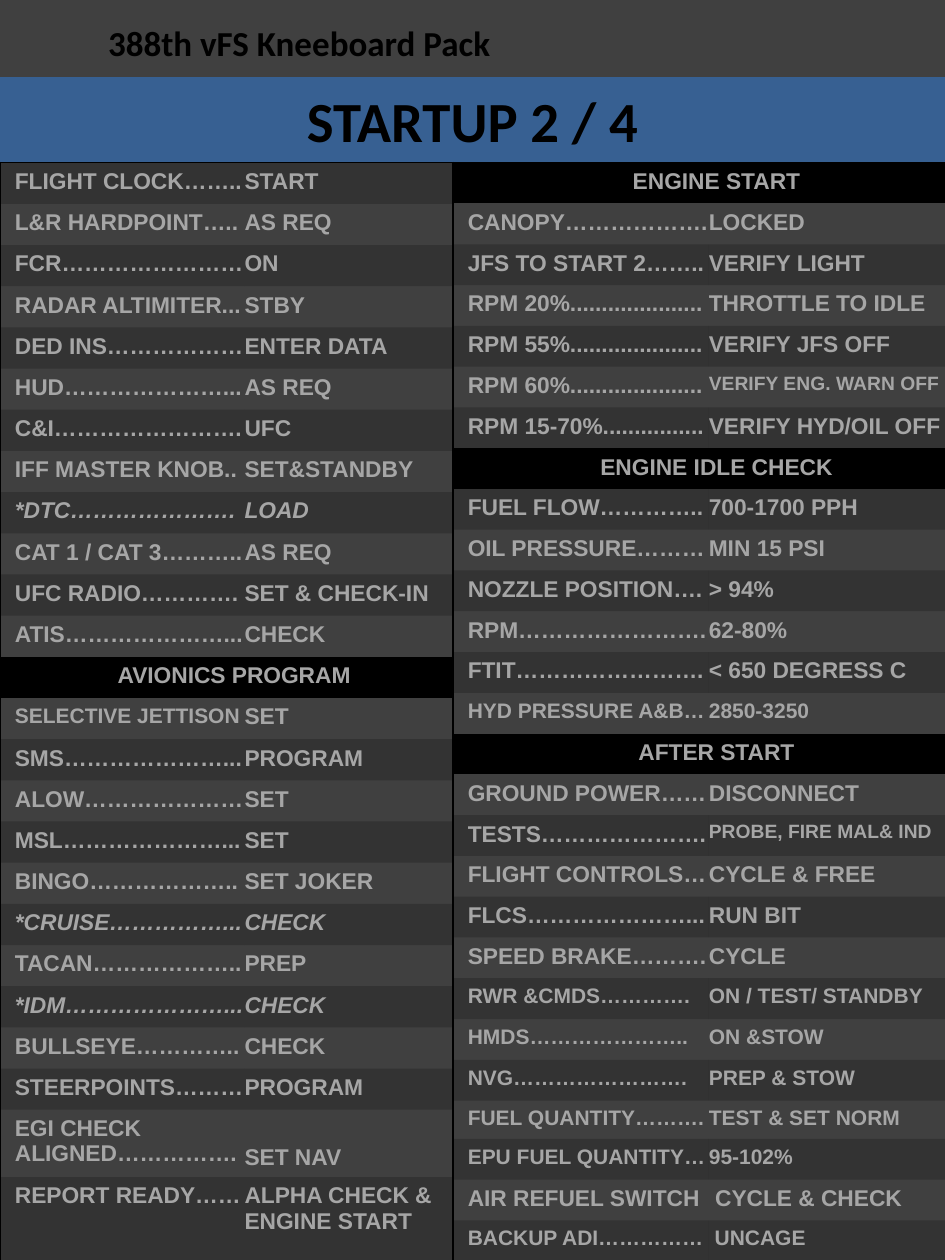
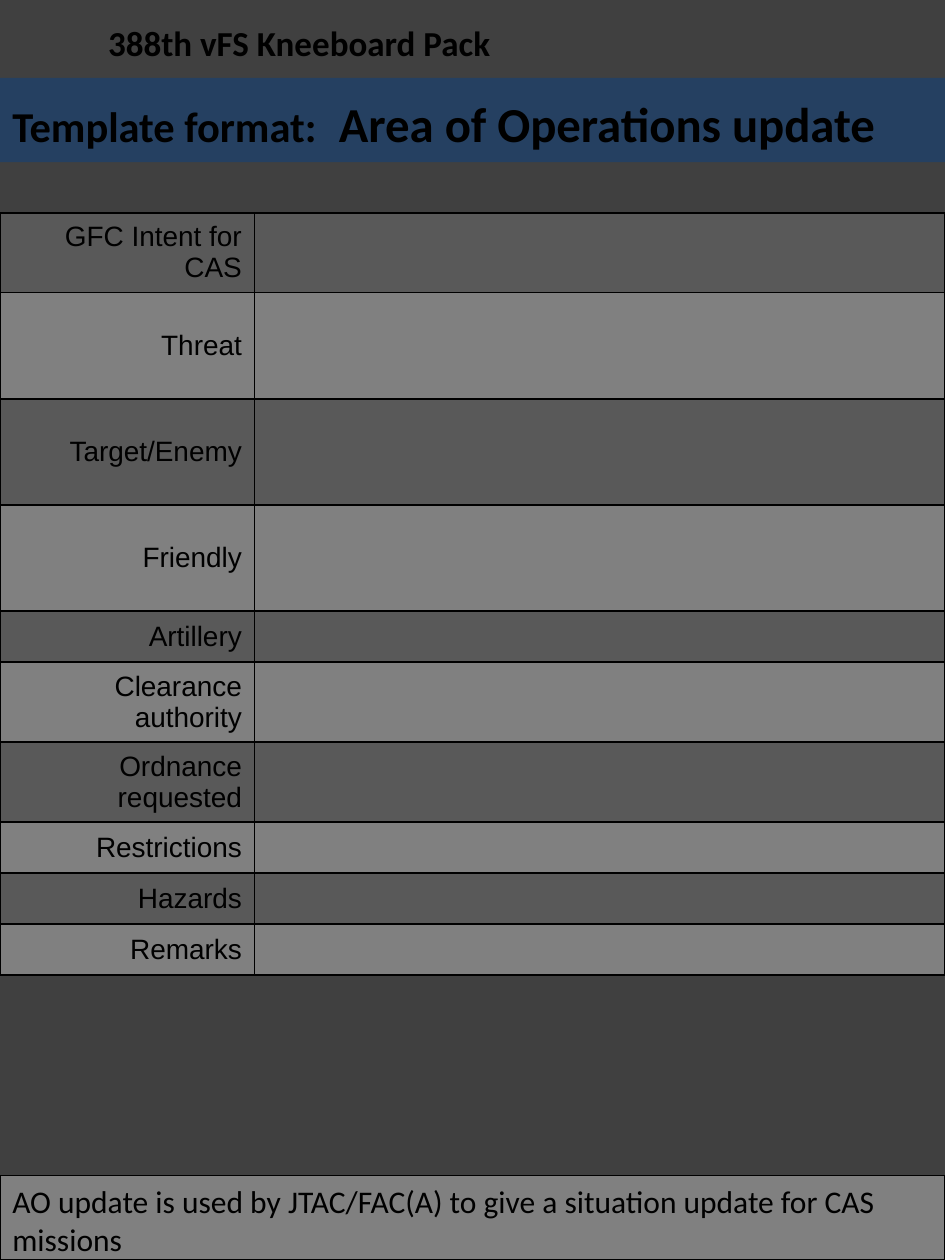
from typing import NamedTuple, Optional

from lxml import etree
from pptx import Presentation
from pptx.dml.color import RGBColor
from pptx.enum.shapes import MSO_SHAPE
from pptx.enum.text import MSO_ANCHOR, PP_ALIGN
from pptx.oxml.ns import qn
from pptx.util import Cm, Pt

RECTANGLE = MSO_SHAPE.RECTANGLE
TOP, MIDDLE, BOTTOM = MSO_ANCHOR.TOP, MSO_ANCHOR.MIDDLE, MSO_ANCHOR.BOTTOM
LEFT, CENTER, RIGHT = PP_ALIGN.LEFT, PP_ALIGN.CENTER, PP_ALIGN.RIGHT

BLACK = "000000"
BACKGROUND = "404040"
STARTUP_BLUE = "376092"
TEMPLATE_BLUE = "254061"
CHECKLIST_TEXT = "A6A6A6"
DARK_GRAY = "595959"
MID_GRAY = "808080"

HEADING_FONT = "Calibri"
TABLE_FONT = "Arial"
PLAIN_TABLE_STYLE = "{2D5ABB26-0587-4C30-8999-92F81FD0307C}"
SLIDE_WIDTH, SLIDE_HEIGHT = 19.05, 25.4
BAND_TOP, BAND_HEIGHT = 1.57, 1.7
TABLE_TOP = 3.28
INSET = 0.3


class Run(NamedTuple):
    text: str
    size: float
    font: str = HEADING_FONT
    color: str = BLACK
    bold: bool = False
    italic: bool = False


class Box(NamedTuple):
    left: float
    top: float
    width: float
    height: float


class Step(NamedTuple):
    label: str
    value: str = ""
    size: float = 13
    value_size: Optional[float] = None
    italic: bool = False
    height: Optional[float] = None
    value_anchor: MSO_ANCHOR = TOP


class Checklist(NamedTuple):
    box: Box
    columns: tuple[float, float]
    steps: list[Step]


class Entry(NamedTuple):
    label: str
    height: float


SYSTEMS = Checklist(Box(0, TABLE_TOP, 9.13, 22.38), (4.93, 4.2), [
    Step("FLIGHT CLOCK……..", "START"),
    Step("L&R HARDPOINT…..", "AS REQ"),
    Step("FCR……………………", "ON"),
    Step("RADAR ALTIMITER...", "STBY"),
    Step("DED INS………………", "ENTER DATA"),
    Step("HUD…………………...", "AS REQ"),
    Step("C&I…………………….", "UFC"),
    Step("IFF MASTER KNOB..", "SET&STANDBY"),
    Step("*DTC………………….", "LOAD", italic=True),
    Step("CAT 1 / CAT 3………..", "AS REQ"),
    Step("UFC RADIO………….", "SET & CHECK-IN"),
    Step("ATIS…………………...", "CHECK"),
    Step("AVIONICS PROGRAM"),
    Step("SELECTIVE JETTISON", "SET", 12, 13),
    Step("SMS…………………...", "PROGRAM"),
    Step("ALOW…………………", "SET"),
    Step("MSL…………………...", "SET"),
    Step("BINGO………………..", "SET JOKER"),
    Step("*CRUISE……………...", "CHECK", italic=True),
    Step("TACAN………………..", "PREP"),
    Step("*IDM…………………...", "CHECK", italic=True),
    Step("BULLSEYE…………..", "CHECK"),
    Step("STEERPOINTS………", "PROGRAM"),
    Step("EGI CHECK ALIGNED…………….", "SET NAV", height=1.29, value_anchor=BOTTOM),
    Step("REPORT READY……", "ALPHA CHECK & ENGINE START", height=1.98),
])

ENGINE = Checklist(Box(9.13, TABLE_TOP, 10.32, 22.15), (5.16, 5.16), [
    Step("ENGINE START"),
    Step("CANOPY……………….", "LOCKED"),
    Step("JFS TO START 2……..", "VERIFY LIGHT"),
    Step("RPM 20%.....................", "THROTTLE TO IDLE"),
    Step("RPM 55%.....................", "VERIFY JFS OFF"),
    Step("RPM 60%.....................", "VERIFY ENG. WARN OFF", 13, 11),
    Step("RPM 15-70%................", "VERIFY HYD/OIL OFF"),
    Step("ENGINE IDLE CHECK"),
    Step("FUEL FLOW…………..", "700-1700 PPH"),
    Step("OIL PRESSURE………", "MIN 15 PSI"),
    Step("NOZZLE POSITION….", "> 94%"),
    Step("RPM…………………….", "62-80%"),
    Step("FTIT…………………….", "< 650 DEGRESS C"),
    Step("HYD PRESSURE A&B…", "2850-3250", 12),
    Step("AFTER START"),
    Step("GROUND POWER……", "DISCONNECT"),
    Step("TESTS………………….", "PROBE, FIRE MAL& IND", 13, 11),
    Step("FLIGHT CONTROLS…", "CYCLE & FREE"),
    Step("FLCS…………………...", "RUN BIT"),
    Step("SPEED BRAKE……….", "CYCLE"),
    Step("RWR &CMDS………….", "ON / TEST/ STANDBY", 12),
    Step("HMDS…………………..", "ON &STOW", 12),
    Step("NVG…………………….", "PREP & STOW", 12),
    Step("FUEL QUANTITY……….", "TEST & SET NORM", 12, height=0.77),
    Step("EPU FUEL QUANTITY…", "95-102%", 12),
    Step("AIR REFUEL SWITCH", " CYCLE & CHECK"),
    Step("BACKUP ADI……………", " UNCAGE", 12),
])

SINGLE, DOUBLE, TALL = 1.03, 1.51, 2.14
UPDATE_ENTRIES = [
    Entry("GFC Intent for CAS", DOUBLE),
    Entry("Threat", TALL),
    Entry("Target/Enemy", TALL),
    Entry("Friendly", TALL),
    Entry("Artillery", SINGLE),
    Entry("Clearance authority", DOUBLE),
    Entry("Ordnance requested", DOUBLE),
    Entry("Restrictions", SINGLE),
    Entry("Hazards", SINGLE),
    Entry("Remarks", SINGLE),
]


def set_color(color_format, color: str) -> None:
    color_format.rgb = RGBColor.from_string(color)


def set_fill(fill, color: str, opacity: Optional[int] = None) -> None:
    fill.solid()
    set_color(fill.fore_color, color)
    if opacity is not None:
        element = fill._xPr.find(qn("a:solidFill"))[0]
        etree.SubElement(element, qn("a:alpha"), val=str(opacity * 1000))


def write(text_frame, runs: list[Run], alignment: PP_ALIGN = LEFT) -> None:
    paragraph = text_frame.paragraphs[0]
    paragraph.alignment = alignment
    for item in runs:
        run = paragraph.add_run()
        run.text = item.text
        run.font.name = item.font
        run.font.size = Pt(item.size)
        run.font.bold = item.bold
        run.font.italic = item.italic
        set_color(run.font.color, item.color)


def add_text_block(slide, box: Box, runs: list[Run], alignment: PP_ALIGN = LEFT,
                   anchor: MSO_ANCHOR = MIDDLE, fill: Optional[str] = None,
                   line: Optional[str] = None) -> None:
    lengths = [Cm(length) for length in box]
    if fill is None:
        shape = slide.shapes.add_textbox(*lengths)
    else:
        shape = slide.shapes.add_shape(RECTANGLE, *lengths)
        shape.shadow.inherit = False
        set_fill(shape.fill, fill)
        if line is None:
            shape.line.fill.background()
        else:
            set_fill(shape.line.fill, line)
            shape.line.width = Pt(0.75)
    shape.text_frame.word_wrap = True
    shape.text_frame.vertical_anchor = anchor
    write(shape.text_frame, runs, alignment)


def add_page(presentation, title: list[Run], band_color: str, alignment: PP_ALIGN = LEFT,
             line: Optional[str] = None):
    slide = presentation.slides.add_slide(presentation.slide_layouts[6])
    add_text_block(slide, Box(1.93, 0, 11.2, 1.7),
                   [Run("388th vFS Kneeboard Pack", 20, bold=True)])
    add_text_block(slide, Box(0, BAND_TOP, SLIDE_WIDTH, BAND_HEIGHT), title, alignment,
                   fill=band_color, line=line)
    return slide


def add_plain_table(slide, box: Box, columns: tuple[float, ...], heights: list[float]):
    frame = slide.shapes.add_table(len(heights), len(columns), *[Cm(length) for length in box])
    table = frame.table
    table.first_row = False
    table.horz_banding = False
    table._tbl.tblPr.find(qn("a:tableStyleId")).text = PLAIN_TABLE_STYLE
    for column, width in zip(table.columns, columns):
        column.width = Cm(width)
    for row, height in zip(table.rows, heights):
        row.height = Cm(height)
    return table


def add_borders(cell, sides: str) -> None:
    properties = cell._tc.get_or_add_tcPr()
    for index, side in enumerate(sides):
        border = etree.Element(qn(f"a:ln{side}"), w=str(Pt(1)))
        fill = etree.SubElement(border, qn("a:solidFill"))
        etree.SubElement(fill, qn("a:srgbClr"), val=BLACK)
        properties.insert(index, border)


def add_checklist(slide, checklist: Checklist) -> None:
    box, columns, steps = checklist
    special_heights = [step.height for step in steps if step.height]
    regular_height = (box.height - sum(special_heights)) / (len(steps) - len(special_heights))
    table = add_plain_table(slide, box, columns, [step.height or regular_height for step in steps])
    for index, step in enumerate(steps):
        label_cell, value_cell = table.cell(index, 0), table.cell(index, 1)
        is_heading = not step.value
        if is_heading:
            label_cell.merge(value_cell)
        texts = [(label_cell, step.label, step.size, TOP),
                 (value_cell, step.value, step.value_size or step.size, step.value_anchor)]
        for cell, text, size, anchor in texts:
            cell.margin_left = Cm(INSET if cell is label_cell else 0)
            cell.margin_right = Cm(0 if cell is label_cell else INSET)
            cell.vertical_anchor = anchor
            if text:
                write(cell.text_frame,
                      [Run(text, size, TABLE_FONT, CHECKLIST_TEXT, True, step.italic)],
                      CENTER if is_heading else LEFT)
            if is_heading:
                set_fill(cell.fill, BLACK)
            elif index % 2 == 0:
                set_fill(cell.fill, BLACK, 20)
            else:
                cell.fill.background()
        ends = ("T" if index == 0 else "") + ("B" if index == len(steps) - 1 else "")
        add_borders(label_cell, ("LR" if is_heading else "L") + ends)
        add_borders(value_cell, "R" + ends)


def add_update_form(slide, entries: list[Entry]) -> None:
    heights = [entry.height for entry in entries]
    table = add_plain_table(slide, Box(0, 4.29, SLIDE_WIDTH, sum(heights)), (5.13, 13.92), heights)
    for index, entry in enumerate(entries):
        for column in range(2):
            cell = table.cell(index, column)
            cell.vertical_anchor = MIDDLE
            set_fill(cell.fill, MID_GRAY if index % 2 else DARK_GRAY)
            add_borders(cell, "LRTB")
        write(table.cell(index, 0).text_frame, [Run(entry.label, 16, TABLE_FONT)], RIGHT)


def main() -> None:
    presentation = Presentation()
    presentation.slide_width = Cm(SLIDE_WIDTH)
    presentation.slide_height = Cm(SLIDE_HEIGHT)
    set_fill(presentation.slide_master.background.fill, BACKGROUND)

    startup = add_page(presentation, [Run("STARTUP 2 / 4", 32.4, bold=True)], STARTUP_BLUE,
                       CENTER, STARTUP_BLUE)
    for checklist in (ENGINE, SYSTEMS):
        add_checklist(startup, checklist)

    update = add_page(presentation, [
        Run("Template format: ", 24.3, bold=True),
        Run(" ", 32.4, bold=True),
        Run("Area of Operations update", 27.9, bold=True),
    ], TEMPLATE_BLUE)
    add_update_form(update, UPDATE_ENTRIES)
    add_text_block(update, Box(0, SLIDE_HEIGHT - BAND_HEIGHT, SLIDE_WIDTH, BAND_HEIGHT), [
        Run("AO update is used by JTAC/FAC(A) to give a situation update for CAS missions", 18),
    ], anchor=TOP, fill=MID_GRAY, line=BLACK)

    presentation.save("out.pptx")


if __name__ == "__main__":
    main()
